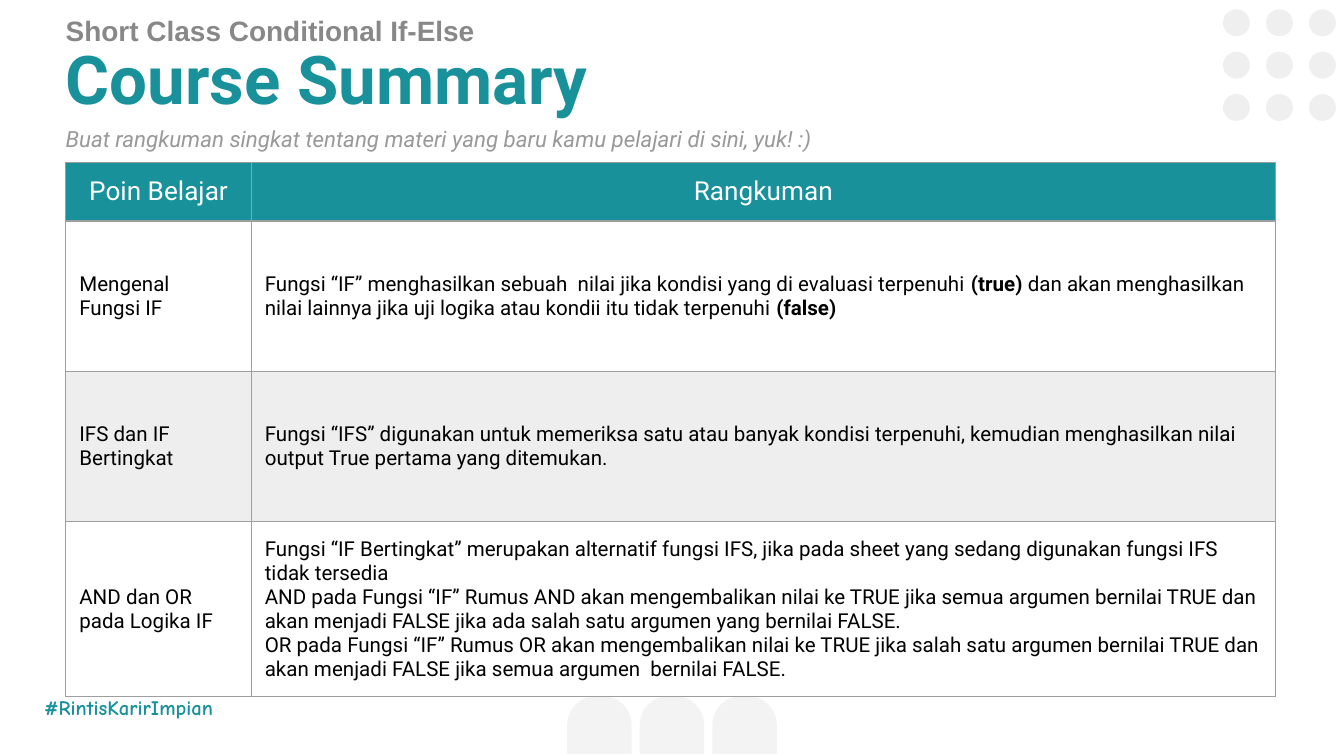
from lxml.etree import SubElement
from pptx import Presentation
from pptx.dml.color import RGBColor
from pptx.enum.shapes import MSO_SHAPE
from pptx.enum.text import MSO_ANCHOR, PP_ALIGN
from pptx.oxml.ns import qn
from pptx.util import Inches, Pt

TEAL = RGBColor(0x18, 0x91, 0x9B)
WHITE = RGBColor(0xFF, 0xFF, 0xFF)
BLACK = RGBColor(0, 0, 0)
HEADING_GRAY = RGBColor(0x88, 0x88, 0x88)
HINT_GRAY = RGBColor(0x99, 0x99, 0x99)
BORDER_GRAY = RGBColor(0x9E, 0x9E, 0x9E)
BAND_GRAY = RGBColor(0xEE, 0xEE, 0xEE)
DOT_GRAY = RGBColor(0xEF, 0xEF, 0xEF)
ARCH_GRAY = RGBColor(0xF3, 0xF3, 0xF3)

COLUMN_WIDTHS = [1.38, 7.62]
ROW_HEIGHTS = [0.41, 1.12, 1.12, 1.12]
# Each cell is a list of paragraphs; each paragraph is a list of (text, bold) runs.
SUMMARY = [
    [[[("Poin Belajar", False)]], [[("Rangkuman", False)]]],
    [
        [[("Mengenal", False)], [("Fungsi IF", False)]],
        [[
            ("Fungsi “IF” menghasilkan sebuah  nilai jika kondisi yang di evaluasi terpenuhi ", False),
            ("(true) ", True),
            ("dan akan menghasilkan nilai lainnya jika uji logika atau kondii itu tidak terpenuhi ", False),
            ("(false)", True),
        ]],
    ],
    [
        [[("IFS dan IF Bertingkat", False)]],
        [[("Fungsi “IFS” digunakan untuk memeriksa satu atau banyak kondisi terpenuhi, "
           "kemudian menghasilkan nilai output True pertama yang ditemukan.", False)]],
    ],
    [
        [[("AND dan OR pada Logika IF", False)]],
        [
            [("Fungsi “IF Bertingkat” merupakan alternatif fungsi IFS, jika pada sheet "
              "yang sedang digunakan fungsi IFS tidak tersedia", False)],
            [("AND pada Fungsi “IF” Rumus AND akan mengembalikan nilai ke TRUE jika semua argumen "
              "bernilai TRUE dan akan menjadi FALSE jika ada salah satu argumen yang bernilai FALSE.", False)],
            [("OR pada Fungsi “IF” Rumus OR akan mengembalikan nilai ke TRUE jika salah satu argumen "
              "bernilai TRUE dan akan menjadi FALSE jika semua argumen  bernilai FALSE.", False)],
        ],
    ],
]


def write(frame, paragraphs, size, color, font="Roboto", italic=False,
          align=PP_ALIGN.LEFT, spacing=1.0):
    """Fill a text frame with paragraphs, each a list of (text, bold) runs."""
    for index, runs in enumerate(paragraphs):
        paragraph = frame.paragraphs[0] if index == 0 else frame.add_paragraph()
        paragraph.alignment = align
        paragraph.line_spacing = spacing
        for text, bold in runs:
            run = paragraph.add_run()
            run.text = text
            run.font.name = font
            run.font.size = Pt(size)
            run.font.bold = bold
            run.font.italic = italic
            run.font.color.rgb = color


def set_margins(holder):
    holder.margin_left = holder.margin_right = Inches(0.1)
    holder.margin_top = holder.margin_bottom = Inches(0.1)


def add_borders(cell):
    properties = cell._tc.get_or_add_tcPr()
    for side in ("a:lnL", "a:lnR", "a:lnT", "a:lnB"):
        border = SubElement(properties, qn(side), w=str(Pt(0.75)))
        fill = SubElement(border, qn("a:solidFill"))
        SubElement(fill, qn("a:srgbClr"), val=str(BORDER_GRAY))


class SummarySlide:
    def __init__(self, presentation):
        self.slide = presentation.slides.add_slide(presentation.slide_layouts[5])

    def place_text(self, holder, box, text, bold=False, **style):
        holder.left, holder.top, holder.width, holder.height = map(Inches, box)
        frame = holder.text_frame
        frame.word_wrap = True
        frame.vertical_anchor = MSO_ANCHOR.TOP
        set_margins(frame)
        write(frame, [[(text, bold)]], **style)

    def title(self, box, text, **style):
        self.place_text(self.slide.shapes.title, box, text, **style)

    def text(self, box, text, **style):
        holder = self.slide.shapes.add_textbox(*map(Inches, box))
        self.place_text(holder, box, text, **style)

    def pattern(self, preset, lefts, tops, width, height, color, adjustments=()):
        """Repeat one plain shape on a grid, as a group."""
        group = self.slide.shapes.add_group_shape()
        for top in tops:
            for left in lefts:
                shape = group.shapes.add_shape(
                    preset, Inches(left), Inches(top), Inches(width), Inches(height))
                shape.shadow.inherit = False
                shape.fill.solid()
                shape.fill.fore_color.rgb = color
                shape.line.fill.background()
                for index, value in enumerate(adjustments):
                    shape.adjustments[index] = value

    def table(self, left, top, widths, heights, rows):
        table = self.slide.shapes.add_table(
            len(heights), len(widths), Inches(left), Inches(top),
            Inches(sum(widths)), Inches(sum(heights))).table
        table.first_row = table.horz_banding = False
        for column, width in zip(table.columns, widths):
            column.width = Inches(width)
        for row, height in zip(table.rows, heights):
            row.height = Inches(height)
        for row_index, row in enumerate(rows):
            for column_index, paragraphs in enumerate(row):
                self.fill_cell(table.cell(row_index, column_index), row_index, paragraphs)

    def fill_cell(self, cell, row_index, paragraphs):
        set_margins(cell)
        add_borders(cell)
        if row_index == 0:
            cell.fill.solid()
            cell.fill.fore_color.rgb = TEAL
            write(cell.text_frame, paragraphs, size=14, color=WHITE, align=PP_ALIGN.CENTER)
            return
        cell.vertical_anchor = MSO_ANCHOR.MIDDLE
        if row_index % 2 == 0:
            cell.fill.solid()
            cell.fill.fore_color.rgb = BAND_GRAY
        else:
            cell.fill.background()
        write(cell.text_frame, paragraphs, size=11, color=BLACK)


def main():
    presentation = Presentation()
    presentation.slide_width = Inches(10)
    presentation.slide_height = Inches(10 * 9 / 16)
    page = SummarySlide(presentation)

    page.pattern(MSO_SHAPE.ROUND_2_SAME_RECTANGLE, [4.22 + 0.54 * i for i in range(3)],
                 [5.18], 0.48, 0.43, ARCH_GRAY, adjustments=(0.5, 0))
    page.pattern(MSO_SHAPE.OVAL, [9.1 + 0.32 * i for i in range(3)],
                 [0.07 + 0.315 * i for i in range(3)], 0.2, 0.2, DOT_GRAY)
    page.text((0.23, 5.08, 1.57, 0.39), "#RintisKarirImpian",
              size=11, color=TEAL, font="Comic Neue", bold=True)
    page.title((0.39, 0.18, 8.62, 0.81), "Course Summary", size=36, color=TEAL, bold=True)
    page.text((0.39, 0.8, 8.8, 0.4),
              "Buat rangkuman singkat tentang materi yang baru kamu pelajari di sini, yuk! :)",
              size=12, color=HINT_GRAY, italic=True, spacing=1.15)
    page.table(0.49, 1.21, COLUMN_WIDTHS, ROW_HEIGHTS, SUMMARY)
    page.text((0.39, 0, 8.71, 0.43), "Short Class Conditional If-Else",
              size=15, color=HEADING_GRAY, font="Arial", bold=True)
    presentation.save("out.pptx")


if __name__ == "__main__":
    main()
